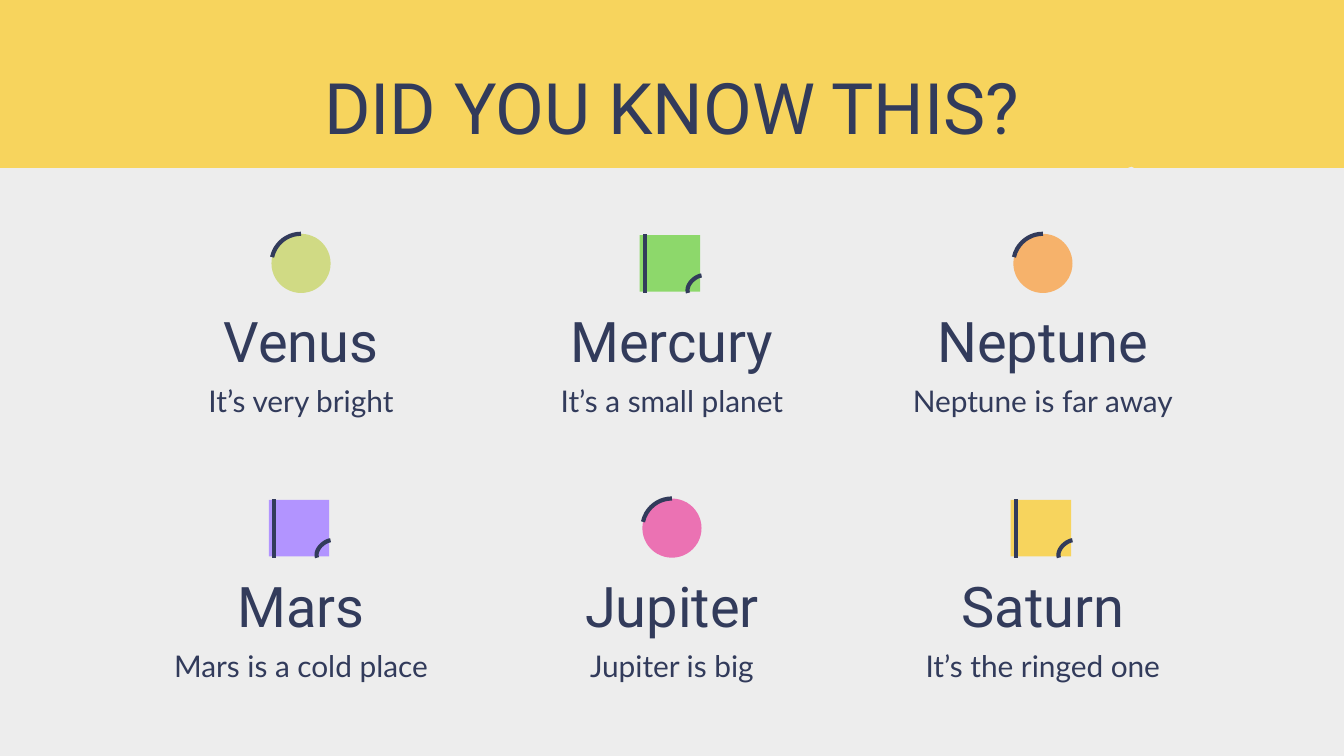
from lxml import etree
from pptx import Presentation
from pptx.dml.color import RGBColor
from pptx.enum.shapes import MSO_CONNECTOR, MSO_SHAPE
from pptx.enum.text import MSO_ANCHOR, PP_ALIGN
from pptx.oxml.ns import qn
from pptx.util import Inches, Pt

SLIDE_WIDTH = 10
SLIDE_HEIGHT = SLIDE_WIDTH * 9 / 16

NAVY = "323B5B"
YELLOW = "F7D45D"
BACKGROUND = "EDEDED"
LINE_WIDTH = 2.25

COLUMN_LEFT, COLUMN_STEP = 1.17, 2.76
ROW_TOP, ROW_STEP = 1.74, 1.97
TEXT_WIDTH = 2.14

PLANETS = [
    [("Venus", "It’s very bright", "circle", "D0DA84"),
     ("Mercury", "It’s a small planet", "square", "8DD86B"),
     ("Neptune", "Neptune is far away", "circle", "F6B26B")],
    [("Mars", "Mars is a cold place", "square", "B294FF"),
     ("Jupiter", "Jupiter is big", "circle", "EB72B3"),
     ("Saturn", "It’s the ringed one", "square", YELLOW)],
]


def color(hex_string):
    return RGBColor.from_string(hex_string)


def curve_points(start, control_1, control_2, end, steps=16):
    """Return points along a cubic curve."""
    points = []
    for step in range(steps + 1):
        t = step / steps
        weights = ((1 - t) ** 3, 3 * t * (1 - t) ** 2, 3 * t ** 2 * (1 - t), t ** 3)
        points.append(tuple(
            sum(weight * value for weight, value in zip(weights, values))
            for values in zip(start, control_1, control_2, end)))
    return points


class SlideBuilder:
    def __init__(self, slide):
        self.slide = slide
        slide.background.fill.solid()
        slide.background.fill.fore_color.rgb = color(BACKGROUND)

    def paint(self, shape, fill=None, line=None):
        shape.shadow.inherit = False
        if fill:
            shape.fill.solid()
            shape.fill.fore_color.rgb = color(fill)
        else:
            shape.fill.background()
        if line:
            shape.line.color.rgb = color(line)
            shape.line.width = Pt(LINE_WIDTH)
        else:
            shape.line.fill.background()

    def shape(self, kind, left, top, width, height, fill=None, line=None):
        shape = self.slide.shapes.add_shape(
            kind, Inches(left), Inches(top), Inches(width), Inches(height))
        self.paint(shape, fill, line)
        return shape

    def outline(self, points, fill=None, line=None, close=False):
        start, *others = [(Inches(x), Inches(y)) for x, y in points]
        builder = self.slide.shapes.build_freeform(*start)
        builder.add_line_segments(others, close=close)
        self.paint(builder.convert_to_shape(), fill, line)

    def vertical_line(self, x, top, bottom):
        connector = self.slide.shapes.add_connector(
            MSO_CONNECTOR.STRAIGHT, Inches(x), Inches(bottom), Inches(x), Inches(top))
        connector.line.color.rgb = color(NAVY)
        connector.line.width = Pt(LINE_WIDTH)
        etree.SubElement(connector._element.spPr, qn("a:effectLst"))

    def text(self, words, left, top, width, height, size, font):
        box = self.slide.shapes.add_textbox(
            Inches(left), Inches(top), Inches(width), Inches(height))
        frame = box.text_frame
        frame.word_wrap = True
        frame.vertical_anchor = MSO_ANCHOR.TOP
        frame.margin_left = frame.margin_right = Inches(0.1)
        frame.margin_top = frame.margin_bottom = Inches(0.1)
        frame.text = words
        paragraph = frame.paragraphs[0]
        paragraph.alignment = PP_ALIGN.CENTER
        run = paragraph.runs[0]
        run.font.size = Pt(size)
        run.font.name = font
        run.font.color.rgb = color(NAVY)

    def circle_icon(self, center, top, fill):
        size = 0.44
        bounds = (center - size / 2, top, size, size)
        self.shape(MSO_SHAPE.OVAL, *bounds, fill=fill)
        arc = self.shape(MSO_SHAPE.ARC, *bounds, line=NAVY)
        # Angles count 0.6 per degree: from 192 degrees to the top at 270.
        arc.adjustments[0] = 115.26
        arc.adjustments[1] = 162

    def square_icon(self, center, top, fill):
        self.shape(MSO_SHAPE.RECTANGLE, center - 0.24, top + 0.01, 0.45, 0.42, fill=fill)
        self.vertical_line(center - 0.2, top, top + 0.44)
        corner = [(0.12, 0.44), (0.1, 0.39), (0.16, 0.32), (0.22, 0.31)]
        self.outline(curve_points(*((center + x, top + y) for x, y in corner)), line=NAVY)

    def planet(self, name, fact, icon, fill, left, top):
        draw_icon = self.circle_icon if icon == "circle" else self.square_icon
        draw_icon(left + TEXT_WIDTH / 2, top, fill)
        self.text(name, left, top + 0.44, TEXT_WIDTH, 0.6, 30, "Roboto")
        self.text(fact, left, top + 1.01, TEXT_WIDTH, 0.44, 16, "Lato")


def main():
    presentation = Presentation()
    presentation.slide_width = Inches(SLIDE_WIDTH)
    presentation.slide_height = Inches(SLIDE_HEIGHT)
    builder = SlideBuilder(presentation.slides.add_slide(presentation.slide_layouts[6]))

    header = [(0, 0), (0, 1.25), (8.39, 1.25), (8.42, 1.24), (8.44, 1.25), (10, 1.25), (10, 0)]
    builder.outline(header, fill=YELLOW, close=True)
    builder.text("DID YOU KNOW THIS?", 0.78, 0.37, 8.44, 0.77, 38, "Roboto")

    for row, planets in enumerate(PLANETS):
        for column, planet in enumerate(planets):
            builder.planet(*planet, COLUMN_LEFT + column * COLUMN_STEP, ROW_TOP + row * ROW_STEP)

    presentation.save("out.pptx")


if __name__ == "__main__":
    main()
